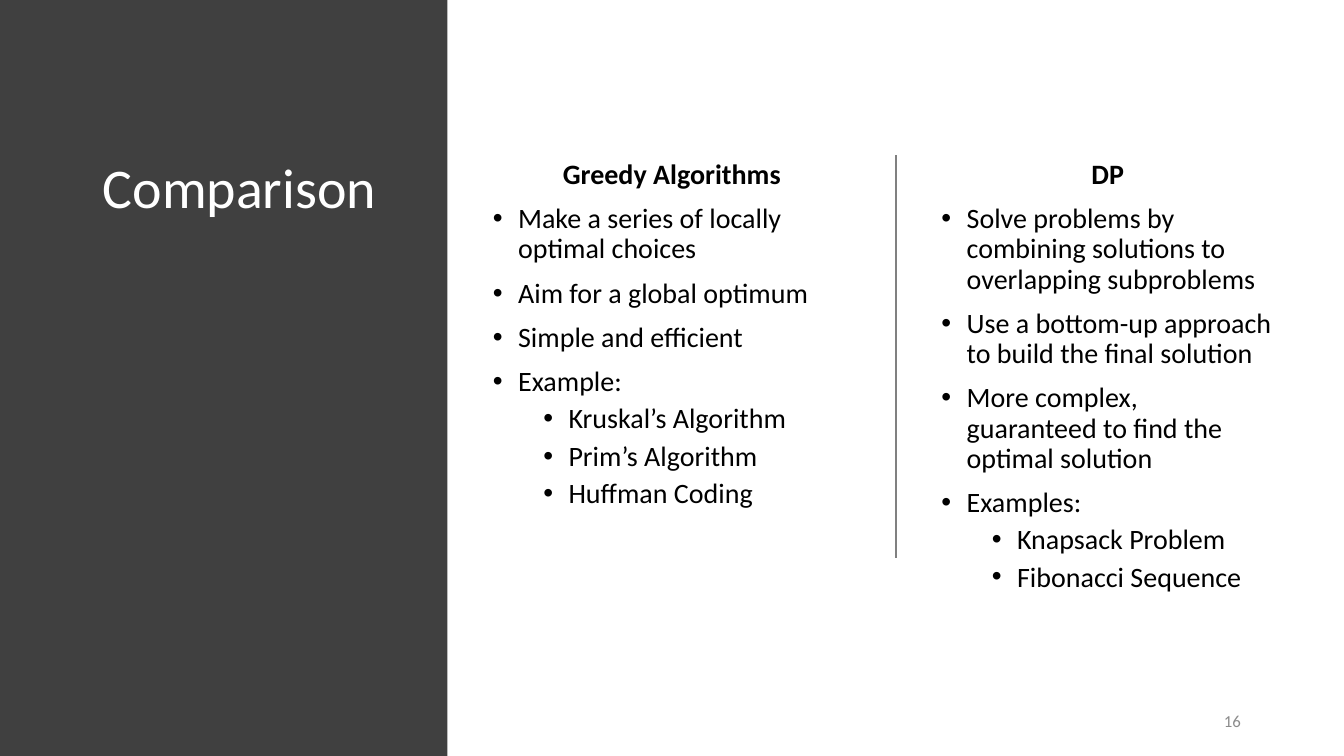
"""Build the slide that compares greedy algorithms with dynamic programming."""
from lxml.etree import SubElement
from pptx import Presentation
from pptx.dml.color import RGBColor
from pptx.enum.shapes import MSO_CONNECTOR, MSO_SHAPE
from pptx.enum.text import MSO_ANCHOR, MSO_AUTO_SIZE, PP_ALIGN
from pptx.oxml.ns import qn
from pptx.util import Pt

COLORS = {"panel": "404040", "title": "FFFFFF", "text": "000000",
          "divider": "808080", "number": "8C8C8C"}
TOP, HEIGHT = 110.9, 343.4
HEADING, POINT, EXAMPLE = "heading", "point", "example"
LEVELS = {
    HEADING: {"level": 0, "indent": 0, "hanging": 0, "before": 0, "align": PP_ALIGN.CENTER},
    POINT: {"level": 0, "indent": 18, "hanging": -18, "before": 10, "align": PP_ALIGN.LEFT},
    EXAMPLE: {"level": 1, "indent": 54, "hanging": -18, "before": 5, "align": PP_ALIGN.LEFT},
}
COLUMNS = [
    (344.9, 270, [
        (HEADING, "Greedy Algorithms"),
        (POINT, "Make a series of locally optimal choices"),
        (POINT, "Aim for a global optimum"),
        (POINT, "Simple and efficient"),
        (POINT, "Example:"),
        (EXAMPLE, "Kruskal’s Algorithm"),
        (EXAMPLE, "Prim’s Algorithm"),
        (EXAMPLE, "Huffman Coding"),
    ]),
    (665.3, 252, [
        (HEADING, "DP"),
        (POINT, "Solve problems by combining solutions to overlapping subproblems"),
        (POINT, "Use a bottom-up approach to build the final solution"),
        (POINT, "More complex, guaranteed to find the optimal solution"),
        (POINT, "Examples:"),
        (EXAMPLE, "Knapsack Problem"),
        (EXAMPLE, "Fibonacci Sequence"),
    ]),
]


def assign(target, values):
    for attribute, value in values.items():
        setattr(target, attribute, value)


def write(paragraph, text, size, color, bold=False, **layout):
    run = paragraph.add_run()
    run.text = text
    assign(run.font, {"name": "Calibri", "size": Pt(size), "bold": bold})
    run.font.color.rgb = RGBColor.from_string(COLORS[color])
    assign(paragraph, layout)


presentation = Presentation()
assign(presentation, {"slide_width": Pt(960), "slide_height": Pt(540)})
slide = presentation.slides.add_slide(presentation.slide_layouts[3])
for footer in [p for p in slide.placeholders if p.placeholder_format.idx > 2]:
    footer.element.getparent().remove(footer.element)

title = slide.shapes.title
panel = slide.shapes.add_shape(MSO_SHAPE.RECTANGLE, 0, 0, Pt(319.7), Pt(540))
panel.shadow.inherit = False
panel.fill.solid()
panel.fill.fore_color.rgb = RGBColor.from_string(COLORS["panel"])
panel.line.fill.background()
title.element.addprevious(panel.element)

frame_format = {"word_wrap": True, "auto_size": MSO_AUTO_SIZE.NONE,
                "vertical_anchor": MSO_ANCHOR.TOP}
assign(title, {"left": Pt(66.2), "top": Pt(TOP), "width": Pt(228.2), "height": Pt(HEIGHT)})
assign(title.text_frame, frame_format)
write(title.text_frame.paragraphs[0], "Comparison", 40, "title",
      alignment=PP_ALIGN.LEFT, line_spacing=0.9)

for idx, (left, width, entries) in enumerate(COLUMNS, start=1):
    column = slide.placeholders[idx]
    assign(column, {"left": Pt(left), "top": Pt(TOP), "width": Pt(width), "height": Pt(HEIGHT)})
    assign(column.text_frame, frame_format)
    for row, (kind, text) in enumerate(entries):
        paragraph = column.text_frame.add_paragraph() if row else column.text_frame.paragraphs[0]
        style = LEVELS[kind]
        properties = paragraph._p.get_or_add_pPr()
        properties.set("marL", str(Pt(style["indent"])))
        properties.set("indent", str(Pt(style["hanging"])))
        if kind == HEADING:
            SubElement(properties, qn("a:buNone"))
        else:
            SubElement(properties, qn("a:buFont")).set("typeface", "Arial")
            SubElement(properties, qn("a:buChar")).set("char", "•")
        write(paragraph, text, 20, "text", bold=kind == HEADING, level=style["level"],
              alignment=style["align"], line_spacing=0.9, space_before=Pt(style["before"]))

divider = slide.shapes.add_connector(
    MSO_CONNECTOR.STRAIGHT, Pt(640.1), Pt(TOP), Pt(640.1), Pt(398.9))
divider.line.width = Pt(1)
divider.line.color.rgb = RGBColor.from_string(COLORS["divider"])
SubElement(divider.element.spPr, qn("a:effectLst"))

page_number = slide.shapes.add_textbox(Pt(724.3), Pt(500.4), Pt(169.2), Pt(28.8))
assign(page_number.text_frame, {**frame_format, "vertical_anchor": MSO_ANCHOR.MIDDLE})
write(page_number.text_frame.paragraphs[0], "16", 12, "number",
      alignment=PP_ALIGN.RIGHT, space_after=Pt(6))

presentation.save("out.pptx")
